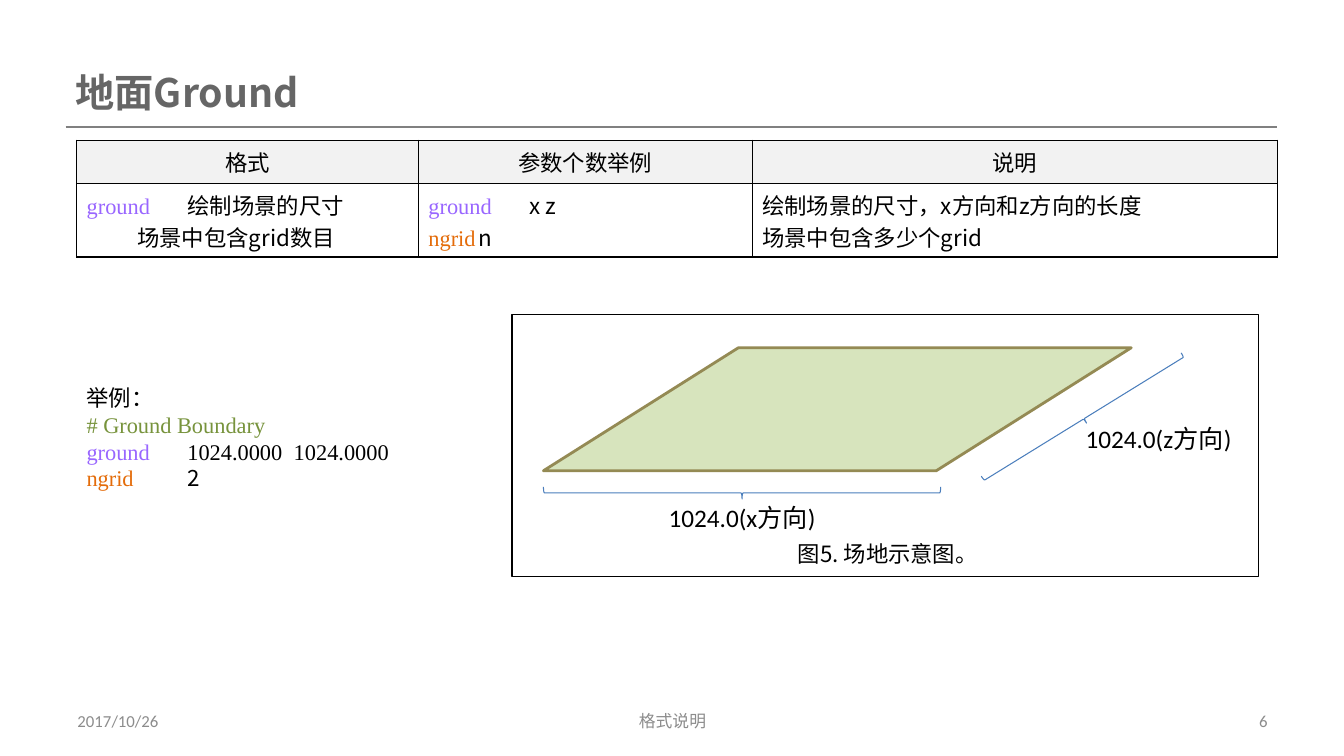
from lxml.etree import SubElement
from pptx import Presentation
from pptx.dml.color import RGBColor
from pptx.enum.shapes import MSO_CONNECTOR, MSO_SHAPE
from pptx.enum.text import MSO_ANCHOR, PP_ALIGN
from pptx.oxml.ns import qn
from pptx.util import Inches, Pt

CJK, SERIF, SANS = "Noto Sans CJK SC", "Times New Roman", "Calibri"
BLACK, PURPLE, ORANGE, GREEN, GREY = "000000", "9966FF", "E46C0A", "77933C", "8C8C8C"

TITLE = "地面Ground"
HEADERS = ["格式", "参数个数举例", "说明"]
DETAILS = [
    [[("ground \t", SERIF, PURPLE), ("绘制场景的尺寸", CJK, BLACK)],
     [("\t场景中包含grid数目", CJK, BLACK)]],
    [[("ground", SERIF, PURPLE), (" \tx z", CJK, BLACK)],
     [("ngrid", SERIF, ORANGE), ("\tn", CJK, BLACK)]],
    [[("绘制场景的尺寸，x方向和z方向的长度", CJK, BLACK)],
     [("场景中包含多少个grid", CJK, BLACK)]],
]
COLUMN_WIDTHS = [3.39, 3.31, 5.21]
ROW_HEIGHTS = [0.43, 0.73]
EXAMPLE = [
    [("举例：", CJK, BLACK)],
    [("# Ground Boundary", SERIF, GREEN)],
    [("ground \t", SERIF, PURPLE), ("1024.0000\t 1024.0000", SERIF, BLACK)],
    [("ngrid", SERIF, ORANGE), (" \t2", CJK, BLACK)],
]
FOOTERS = [
    ("2017/10/26", 0.67, 3.11, PP_ALIGN.LEFT),
    ("格式说明", 4.56, 4.22, PP_ALIGN.CENTER),
    ("6", 9.56, 3.11, PP_ALIGN.RIGHT),
]
BRACES = [
    (MSO_SHAPE.LEFT_BRACE, (7.3, 2.92, 0.12, 3.94), 270),
    (MSO_SHAPE.RIGHT_BRACE, (10.7, 2.99, 0.1, 2.33), 58.3),
]
DIAGRAM_LABELS = [
    ("1024.0(x方向)", (6.52, 4.93, 1.68, 0.4), SANS, 18, MSO_ANCHOR.TOP),
    ("1024.0(z方向)", (10.65, 4.15, 1.68, 0.4), SANS, 18, MSO_ANCHOR.TOP),
    ("图5. 场地示意图。", (7.27, 5.23, 3.07, 0.53), CJK, 16, MSO_ANCHOR.MIDDLE),
]


def color(value):
    return RGBColor.from_string(value)


def box(bounds):
    return [Inches(length) for length in bounds]


def style_run(run, font, size, ink, bold=False):
    run.font.name, run.font.size, run.font.bold = font, Pt(size), bold
    run.font.color.rgb = color(ink)
    SubElement(run.font._element, qn("a:ea"), typeface=CJK)


def write_lines(frame, lines, size=16):
    for index, line in enumerate(lines):
        paragraph = frame.paragraphs[0] if index == 0 else frame.add_paragraph()
        for text, font, ink in line:
            run = paragraph.add_run()
            run.text = text
            style_run(run, font, size, ink)


def add_label(shapes, text, bounds, font, size, ink, align, anchor):
    frame = shapes.add_textbox(*box(bounds)).text_frame
    frame.word_wrap = True
    frame.vertical_anchor = anchor
    frame.text = text
    frame.paragraphs[0].alignment = align
    style_run(frame.paragraphs[0].runs[0], font, size, ink)


def add_outline(shapes, kind, bounds, ink, width, fill=None):
    shape = shapes.add_shape(kind, *box(bounds))
    shape.shadow.inherit = False
    shape.line.color.rgb = color(ink)
    shape.line.width = Pt(width)
    if fill:
        shape.fill.solid()
        shape.fill.fore_color.rgb = color(fill)
    else:
        shape.fill.background()
    return shape


def border_cell(cell):
    properties = cell._tc.get_or_add_tcPr()
    for position, side in enumerate(("lnL", "lnR", "lnT", "lnB")):
        line = properties.makeelement(qn("a:" + side), {"w": str(Pt(1))})
        SubElement(SubElement(line, qn("a:solidFill")), qn("a:srgbClr"), val=BLACK)
        properties.insert(position, line)


def add_format_table(shapes):
    bounds = (0.76, 1.39, sum(COLUMN_WIDTHS), sum(ROW_HEIGHTS))
    table = shapes.add_table(2, len(HEADERS), *box(bounds)).table
    table.first_row = table.horz_banding = False
    for row, height in zip(table.rows, ROW_HEIGHTS):
        row.height = Inches(height)
    for index, width in enumerate(COLUMN_WIDTHS):
        table.columns[index].width = Inches(width)
        header, detail = table.cell(0, index), table.cell(1, index)
        write_lines(header.text_frame, [[(HEADERS[index], CJK, BLACK)]])
        header.text_frame.paragraphs[0].alignment = PP_ALIGN.CENTER
        header.fill.solid()
        header.fill.fore_color.rgb = color("F2F2F2")
        write_lines(detail.text_frame, DETAILS[index])
        detail.fill.background()
        border_cell(header)
        border_cell(detail)


def add_ground_diagram(shapes):
    ground = add_outline(shapes, MSO_SHAPE.PARALLELOGRAM, (5.39, 3.45, 5.83, 1.22),
                         "948A54", 2, "D7E4BD")
    ground.adjustments[0] = 1.585
    for kind, bounds, angle in BRACES:
        add_outline(shapes, kind, bounds, "4B7EBC", 0.75).rotation = angle
    for text, bounds, font, size, anchor in DIAGRAM_LABELS:
        add_label(shapes, text, bounds, font, size, BLACK, PP_ALIGN.CENTER, anchor)
    add_outline(shapes, MSO_SHAPE.RECTANGLE, (5.08, 3.12, 7.4, 2.6), BLACK, 1)


def main():
    deck = Presentation()
    deck.slide_width, deck.slide_height = Inches(13.33), Inches(7.5)
    slide = deck.slides.add_slide(deck.slide_layouts[5])
    shapes = slide.shapes

    title = shapes.title
    title.left, title.top, title.width, title.height = box((0.65, 0.63, 4.02, 0.63))
    title.text_frame.text = TITLE
    title.text_frame.vertical_anchor = MSO_ANCHOR.TOP
    title.text_frame.paragraphs[0].alignment = PP_ALIGN.LEFT
    style_run(title.text_frame.paragraphs[0].runs[0], CJK, 28, "666666", True)

    rule = shapes.add_connector(MSO_CONNECTOR.STRAIGHT, *box((0.65, 1.26, 12.67, 1.26)))
    rule.line.color.rgb = color("808080")
    rule.line.width = Pt(1.5)
    SubElement(rule._element.spPr, qn("a:effectLst"))

    for text, left, width, align in FOOTERS:
        add_label(shapes, text, (left, 6.95, width, 0.4), SANS, 12, GREY,
                  align, MSO_ANCHOR.MIDDLE)

    add_format_table(shapes)
    add_ground_diagram(shapes.add_group_shape().shapes)

    example = shapes.add_textbox(*box((0.76, 3.76, 4.18, 1.18))).text_frame
    example.word_wrap = True
    write_lines(example, EXAMPLE)

    deck.save("out.pptx")


if __name__ == "__main__":
    main()
